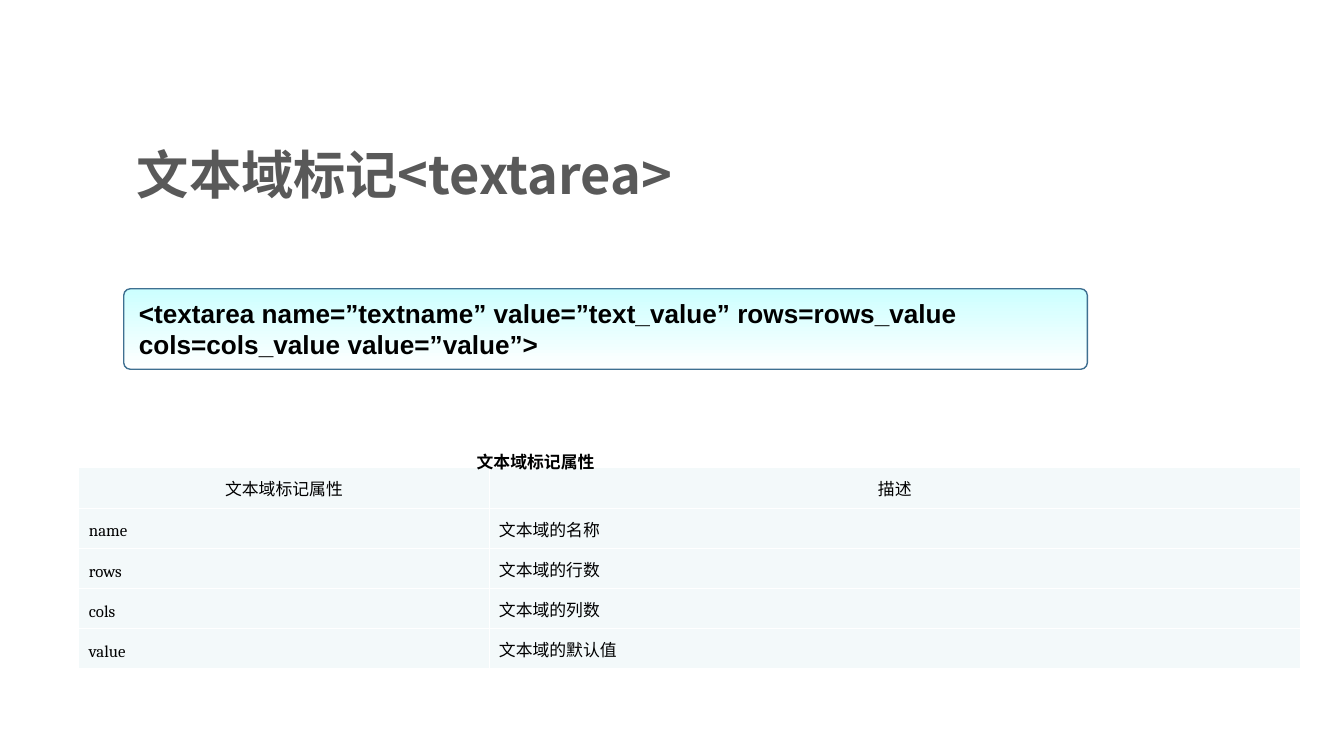
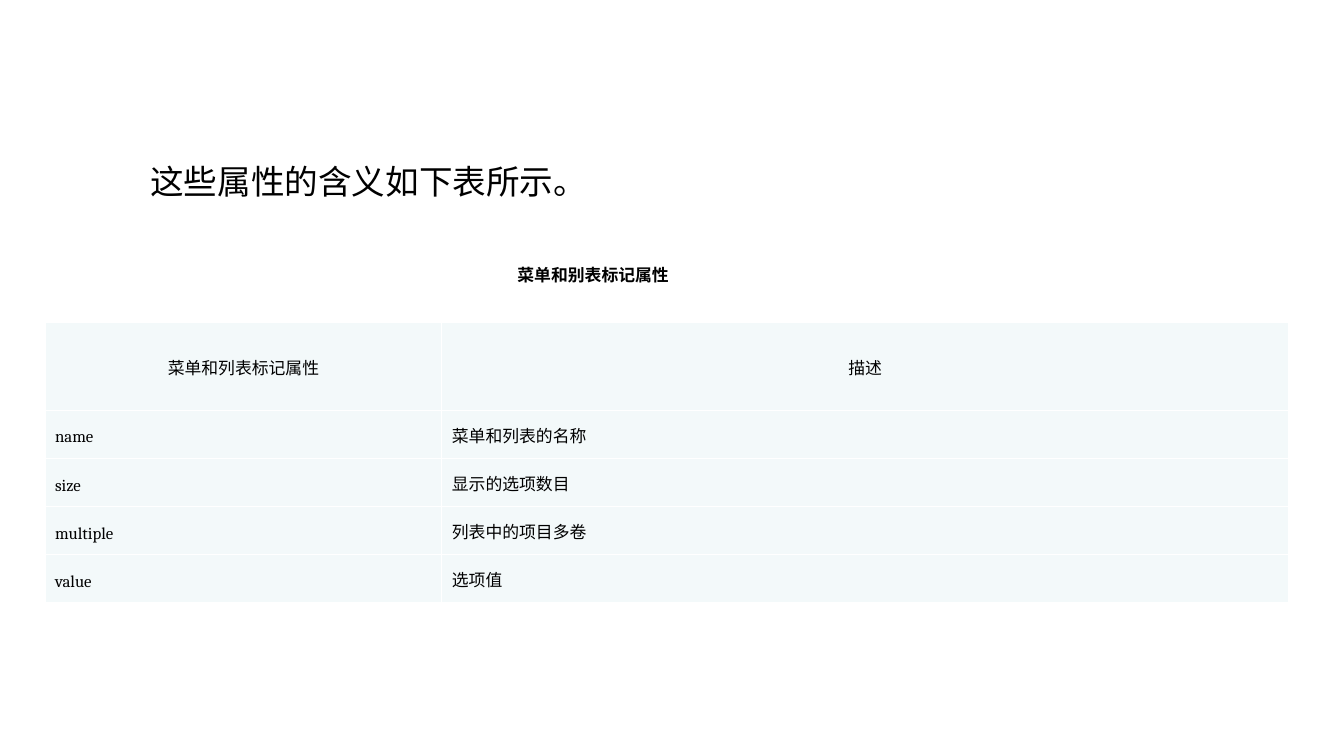
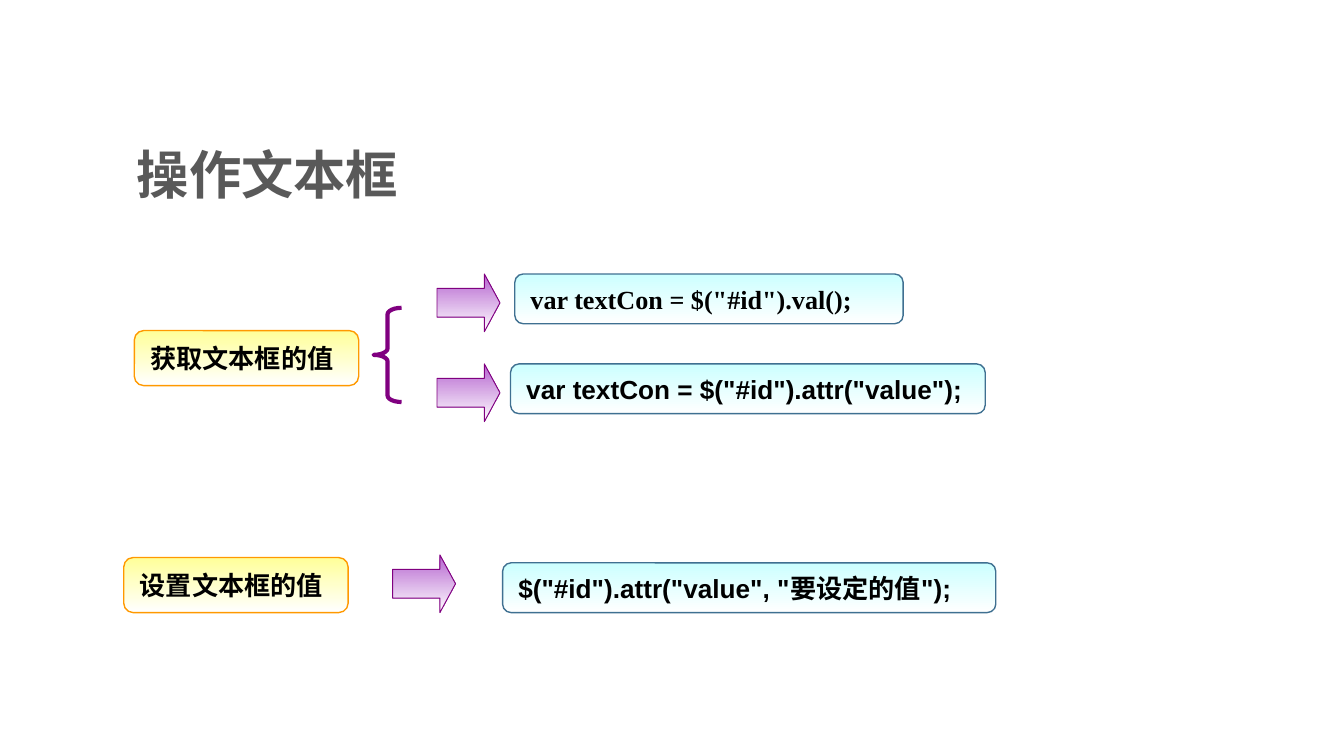
from dataclasses import dataclass

from lxml.etree import SubElement as Sub
from pptx import Presentation
from pptx.dml.color import RGBColor as Rgb
from pptx.enum.shapes import MSO_SHAPE as Kind
from pptx.enum.text import MSO_ANCHOR as Anchor, PP_ALIGN as Align
from pptx.oxml.ns import qn
from pptx.util import Cm, Pt


@dataclass(frozen=True)
class Theme:
    ink: str = "000000"
    title: str = "595959"
    white: str = "FFFFFF"
    cell: str = "F3F9FA"
    # Gradient top and outline of each kind of shape
    code: tuple = ("CCFFFF", "3F7091")
    label: tuple = ("FFFF99", "FF9900")
    arrow: tuple = ("B563CF", "800080")
    big: int = 28
    lead: int = 18
    body: int = 14
    small: int = 9
    sans: str = "Arial"
    serif: str = "Cambria"
    roman: str = "Times New Roman"
    asian: str = "Noto Sans CJK SC"


def rgb(text):
    return Rgb.from_string(text)


def write(frame, text, size, font, color="000000", bold=False,
          align=Align.LEFT, anchor=Anchor.TOP, wrap=True, space=None):
    frame.word_wrap = wrap
    frame.vertical_anchor = anchor
    para = frame.paragraphs[0]
    para.alignment = align
    if space:
        para.line_spacing = Pt(space)
    run = para.add_run()
    run.text = text
    run.font.size = Pt(size)
    run.font.bold = bold
    run.font.name = font
    run.font.color.rgb = rgb(color)
    Sub(run.font._element, qn("a:ea"), typeface=Theme.asian)


class Deck:
    def __init__(self, theme):
        self.look = theme
        self.file = Presentation()
        self.file.slide_width = Cm(25.4)
        self.file.slide_height = Cm(14.29)
        self.slide = None

    def page(self):
        self.slide = self.file.slides.add_slide(self.file.slide_layouts[6])

    def text(self, text, x, y, w, h, **form):
        box = self.slide.shapes.add_textbox(Cm(x), Cm(y), Cm(w), Cm(h))
        write(box.text_frame, text, **form)

    def title(self, text):
        look = self.look
        self.text(text, 2.34, 2.49, 18.21, 1.6, size=look.big, bold=True,
                  font=look.asian, color=look.title, anchor=Anchor.MIDDLE)

    def caption(self, text, x, y, w):
        self.text(text, x, y, w, 1.02, size=self.look.small,
                  font=self.look.sans, bold=True)

    def shape(self, kind, x, y, w, h, tint, line, *turns):
        """Add a preset shape that fades from the tint's first colour to white."""
        item = self.slide.shapes.add_shape(kind, Cm(x), Cm(y), Cm(w), Cm(h))
        item.shadow.inherit = False
        for i, turn in enumerate(turns):
            item.adjustments[i] = turn
        top, edge = tint
        if top:
            item.fill.gradient()
            item.fill.gradient_angle = 270
            for stop, color in zip(item.fill.gradient_stops, (top, self.look.white)):
                stop.color.rgb = rgb(color)
        else:
            item.fill.background()
        item.line.color.rgb = rgb(edge)
        item.line.width = Pt(line)
        return item

    def code(self, text, x, y, w, h=0.94, font=None, turn=0.17):
        item = self.shape(Kind.ROUNDED_RECTANGLE, x, y, w, h, self.look.code, 0.75, turn)
        write(item.text_frame, text, size=self.look.body,
              font=font or self.look.sans, bold=True)

    def label(self, text, x, y):
        item = self.shape(Kind.ROUNDED_RECTANGLE, x, y, 4.24, 1.04,
                          self.look.label, 0.75, 0.17)
        write(item.text_frame, text, size=self.look.body, font=self.look.sans,
              bold=True, anchor=Anchor.MIDDLE)

    def arrow(self, x, y):
        self.shape(Kind.RIGHT_ARROW, x, y, 1.19, 1.09, self.look.arrow, 0.5, 0.5, 0.27)

    def brace(self, x, y, w, h):
        self.shape(Kind.LEFT_BRACE, x, y, w, h, (None, self.look.arrow[1]),
                   2.25, 0.23, 0.5)

    def table(self, rows, x, y, wide, head, high):
        """Add a two-column table; head and high are the first and other row heights."""
        tall = [head] + [high] * (len(rows) - 1)
        grid = self.slide.shapes.add_table(
            len(rows), len(wide), Cm(x), Cm(y), Cm(sum(wide)), Cm(sum(tall))).table
        grid.first_row = grid.horz_banding = False
        for col, size in zip(grid.columns, wide):
            col.width = Cm(size)
        for r, (row, size) in enumerate(zip(rows, tall)):
            grid.rows[r].height = Cm(size)
            for c, text in enumerate(row):
                self.cell(grid.cell(r, c), text, Align.LEFT if r else Align.CENTER)

    def cell(self, cell, text, align):
        look = self.look
        prop = cell._tc.get_or_add_tcPr()
        for side in "LRTB":
            edge = Sub(prop, qn("a:ln" + side), w=str(Pt(0.45)))
            Sub(Sub(edge, qn("a:solidFill")), qn("a:srgbClr"), val=look.white)
        cell.fill.solid()
        cell.fill.fore_color.rgb = rgb(look.cell)
        cell.margin_left = cell.margin_right = Cm(0.19)
        cell.vertical_anchor = Anchor.MIDDLE
        write(cell.text_frame, text, size=look.small, font=look.serif,
              align=align, anchor=Anchor.MIDDLE, space=14)


def area(deck):
    deck.page()
    deck.title("文本域标记<textarea>")
    deck.table([("文本域标记属性", "描述"),
                ("name", "文本域的名称"),
                ("rows", "文本域的行数"),
                ("cols", "文本域的列数"),
                ("value", "文本域的默认值")],
               1.49, 8.84, (7.75, 15.34), 0.76, 0.76)
    deck.caption("文本域标记属性", 8.76, 8.41, 7.62)
    deck.code("<textarea name=”textname” value=”text_value” rows=rows_value "
              "cols=cols_value value=”value”>",
              2.34, 5.46, 18.21, 1.52, turn=0.08)


def menu(deck):
    deck.page()
    deck.text("这些属性的含义如下表所示。", 2.59, 2.92, 8.76, 1.02,
              size=deck.look.lead, font=deck.look.asian, wrap=False)
    deck.table([("菜单和列表标记属性", "描述"),
                ("name", "菜单和列表的名称"),
                ("size", "显示的选项数目"),
                ("multiple", "列表中的项目多卷"),
                ("value", "选项值")],
               0.85, 6.1, (7.5, 16), 1.65, 0.91)
    deck.caption("菜单和别表标记属性", 9.53, 4.88, 4.24)


def field(deck):
    deck.page()
    deck.title("操作文本框")
    deck.label("获取文本框的值", 2.54, 6.25)
    deck.brace(7.06, 5.82, 0.53, 1.78)
    deck.arrow(8.26, 5.18)
    deck.code('var textCon = $("#id").val();', 9.73, 5.18, 7.34, font=deck.look.roman)
    deck.arrow(8.26, 6.88)
    deck.code('var textCon = $("#id").attr("value");', 9.65, 6.88, 8.97)
    deck.label("设置文本框的值", 2.34, 10.54)
    deck.arrow(7.42, 10.49)
    deck.code('$("#id").attr("value", "要设定的值");', 9.5, 10.64, 9.32)


def main():
    deck = Deck(Theme())
    for draw in (area, menu, field):
        draw(deck)
    deck.file.save("out.pptx")


if __name__ == "__main__":
    main()
